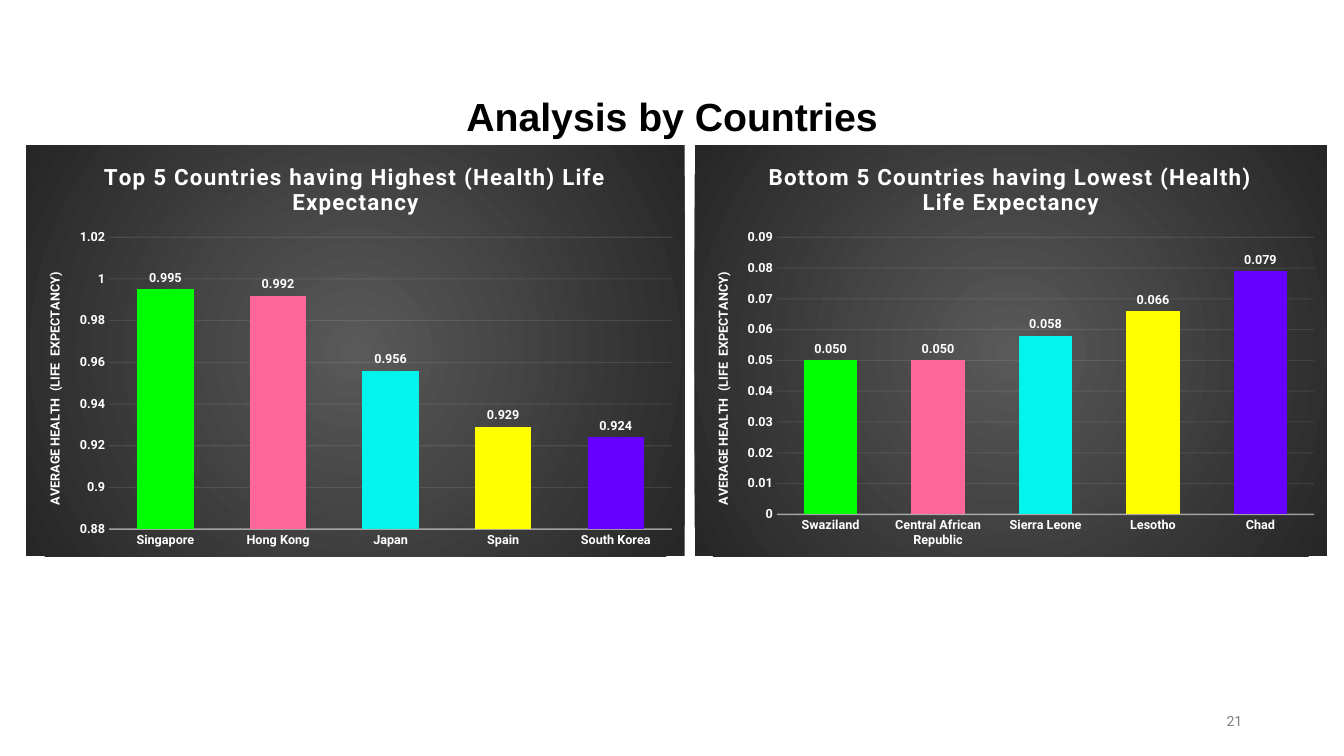
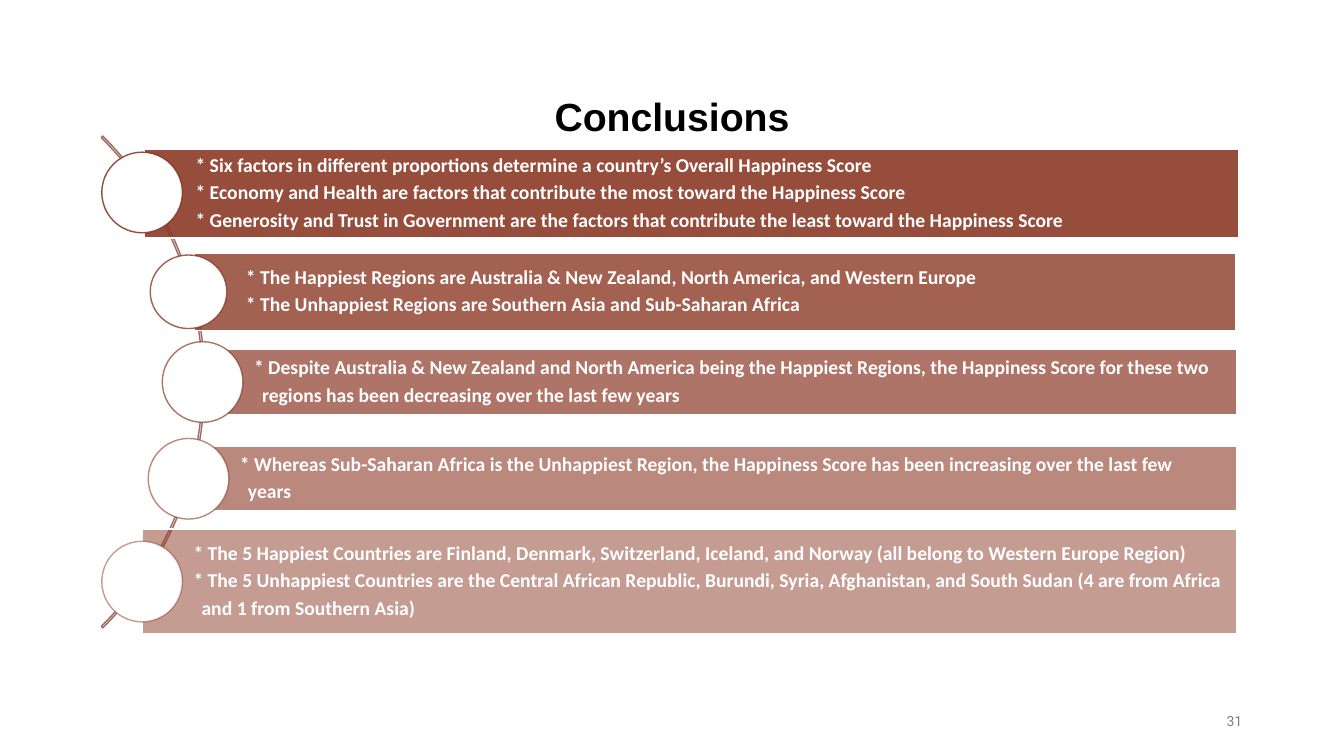
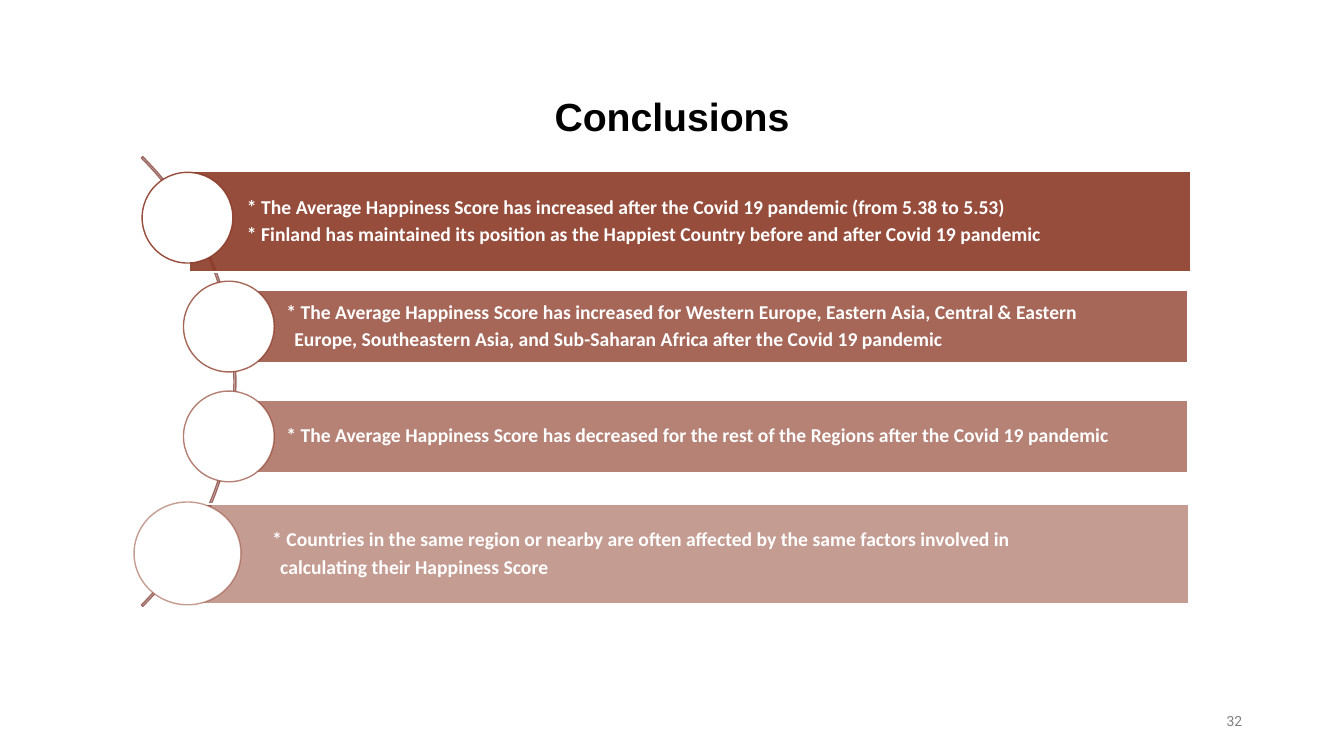
import dataclasses

import pptx
import pptx.chart.data
import pptx.dml.color
import pptx.enum.chart
import pptx.enum.shapes
import pptx.enum.text
import pptx.oxml
import pptx.oxml.ns
import pptx.util

Inches = pptx.util.Inches
Pt = pptx.util.Pt
qn = pptx.oxml.ns.qn


@dataclasses.dataclass(frozen=True)
class Theme:
    white: str = "FFFFFF"
    black: str = "000000"
    number: str = "808080"
    rust: str = "8C3A27"
    arc: str = "9D6962"
    grid: str = "F2F2F2"
    glow: str = "595959"
    shade: str = "262626"
    columns: tuple = ("00FF00", "FF6699", "03F3ED", "FFFF00", "6600FF")
    title_font: str = "Arial"
    body_font: str = "Calibri"
    chart_font: str = "Roboto"
    title_size: int = 28
    body_size: int = 14
    chart_title_size: int = 16
    chart_size: int = 9
    number_size: int = 10


THEME = Theme()

COUNTRIES = {
    "title": "Analysis by Countries",
    "number": "21",
    "axis_title": "AVERAGE HEALTH  (LIFE  EXPECTANCY)",
    "charts": [
        {
            "title": "Top 5 Countries having Highest (Health) Life Expectancy",
            "at": (0.26, 1.44, 6.53, 4.08),
            "plot": (0.126, 0.224, 0.855, 0.71),
            "scale": (0.88, 1.02, 0.02),
            "values": {"Singapore": 0.995, "Hong Kong": 0.992, "Japan": 0.956,
                       "Spain": 0.929, "South Korea": 0.924},
        },
        {
            "title": "Bottom 5 Countries having Lowest (Health) Life Expectancy",
            "at": (6.89, 1.44, 6.27, 4.08),
            "plot": (0.13, 0.224, 0.85, 0.674),
            "scale": (0, 0.09, 0.01),
            "values": {"Swaziland": 0.05, "Central African Republic": 0.05,
                       "Sierra Leone": 0.058, "Lesotho": 0.066, "Chad": 0.079},
        },
    ],
}

CONCLUSIONS = [
    {
        "title": "Conclusions",
        "number": "31",
        "arc": (-4.87, 0.34, 6.9, 6.9),
        "bars": [
            {"at": (1.43, 1.48, 10.86, 0.88), "disc": (1.01, 1.51, 0.8, 0.8), "inset": 0.51,
             "points": [
                 ["* Six factors in different proportions determine a country’s Overall Happiness Score"],
                 ["* Economy and Health are factors that contribute the most toward the Happiness Score"],
                 ["* Generosity and Trust in Government are the factors that contribute the least toward the Happiness Score"]]},
            {"at": (1.93, 2.51, 10.33, 0.77), "disc": (1.49, 2.53, 0.76, 0.73), "inset": 0.51,
             "points": [
                 ["* The Happiest Regions are Australia & New Zealand, North America, and Western Europe"],
                 ["* The Unhappiest Regions are Southern Asia and Sub-Saharan Africa"]]},
            {"at": (2.01, 3.47, 10.26, 0.64), "disc": (1.61, 3.39, 0.8, 0.8), "inset": 0.51,
             "points": [
                 ["* Despite Australia & New Zealand and North America being the Happiest Regions, the Happiness Score for these two",
                  "regions has been decreasing over the last few years"]]},
            {"at": (1.87, 4.43, 10.4, 0.64), "disc": (1.47, 4.35, 0.8, 0.8), "inset": 0.51,
             "points": [
                 ["* Whereas Sub-Saharan Africa is the Unhappiest Region, the Happiness Score has been increasing over the last few",
                  "years"]]},
            {"at": (1.41, 5.25, 10.86, 1.04), "disc": (1.01, 5.37, 0.8, 0.8), "inset": 0.51,
             "points": [
                 ["* The 5 Happiest Countries are Finland, Denmark, Switzerland, Iceland, and Norway (all belong to Western Europe Region)"],
                 ["* The 5 Unhappiest Countries are the Central African Republic, Burundi, Syria, Afghanistan, and South Sudan (4 are from Africa",
                  "and 1 from Southern Asia)"]]},
        ],
    },
    {
        "title": "Conclusions",
        "number": "32",
        "arc": (-3.97, 0.63, 6.31, 6.31),
        "bars": [
            {"at": (1.88, 1.7, 9.93, 1), "disc": (1.41, 1.71, 0.9, 0.9), "inset": 0.57,
             "points": [
                 ["* The Average Happiness Score has increased after the Covid 19 pandemic (from 5.38 to 5.53)"],
                 ["* Finland has maintained its position as the Happiest Country before and after Covid 19 pandemic"]]},
            {"at": (2.27, 2.88, 9.51, 0.72), "disc": (1.82, 2.79, 0.9, 0.9), "inset": 0.57,
             "points": [
                 ["* The Average Happiness Score has increased for Western Europe, Eastern Asia, Central & Eastern",
                  "Europe, Southeastern Asia, and Sub-Saharan Africa after the Covid 19 pandemic"]]},
            {"at": (2.27, 3.97, 9.51, 0.72), "disc": (1.82, 3.88, 0.9, 0.9), "inset": 0.57,
             "points": [
                 ["* The Average Happiness Score has decreased for the rest of the Regions after the Covid 19 pandemic"]]},
            {"at": (1.86, 5, 9.93, 0.99), "disc": (1.33, 4.98, 1.06, 1.02), "inset": 0.84,
             "points": [
                 ["* Countries in the same region or nearby are often affected by the same factors involved in",
                  "calculating their Happiness Score"]]},
        ],
    },
]


def rgb(color):
    return pptx.dml.color.RGBColor.from_string(color)


def inches(lengths):
    return [Inches(length) for length in lengths]


def style(font, name, size, color, bold=False):
    font.name = name
    font.size = Pt(size)
    font.bold = bold
    font.color.rgb = rgb(color)


def fade(parent, percent):
    color = next(parent.iter(qn("a:srgbClr")))
    alpha = color.makeelement(qn("a:alpha"), {"val": str(round(percent * 1000))})
    color.append(alpha)


def add_text(page, at, text, align, anchor, *font):
    box = page.shapes.add_textbox(*inches(at))
    frame = box.text_frame
    frame.word_wrap = True
    frame.vertical_anchor = anchor
    frame.text = text
    para = frame.paragraphs[0]
    para.alignment = align
    style(para.runs[0].font, *font)


def add_page(deck, content):
    page = deck.slides.add_slide(deck.slide_layouts[6])
    align = pptx.enum.text.PP_ALIGN
    anchor = pptx.enum.text.MSO_ANCHOR
    add_text(page, (9.42, 6.95, 3, 0.4), content["number"], align.RIGHT, anchor.MIDDLE,
             THEME.chart_font, THEME.number_size, THEME.number)
    add_text(page, (0.96, 0.87, 11.41, 0.57), content["title"], align.CENTER, anchor.TOP,
             THEME.title_font, THEME.title_size, THEME.black, True)
    return page


def add_outlined(page, kind, at, fill, line):
    shape = page.shapes.add_shape(kind, *inches(at))
    shape.shadow.inherit = False
    if fill:
        shape.fill.solid()
        shape.fill.fore_color.rgb = rgb(fill)
    else:
        shape.fill.background()
    shape.line.color.rgb = rgb(line)
    shape.line.width = Pt(1)
    return shape


def fill_bar(bar, inset, points):
    frame = bar.text_frame
    frame.word_wrap = True
    frame.vertical_anchor = pptx.enum.text.MSO_ANCHOR.MIDDLE
    frame.margin_left = Inches(inset)
    frame.margin_top = frame.margin_right = frame.margin_bottom = Inches(0.04)
    frame.text = "\n".join(line for point in points for line in point)
    continued = [index > 0 for point in points for index in range(len(point))]
    for para, indented in zip(frame.paragraphs, continued):
        para.alignment = pptx.enum.text.PP_ALIGN.LEFT
        para.line_spacing = 0.9
        para.space_after = Pt(4.6)
        if indented:
            para._p.get_or_add_pPr().set("marL", str(Inches(0.08)))
        style(para.runs[0].font, THEME.body_font, THEME.body_size, THEME.white, True)


def add_conclusions(deck, content):
    page = add_page(deck, content)
    kinds = pptx.enum.shapes.MSO_SHAPE
    arc = add_outlined(page, kinds.BLOCK_ARC, content["arc"], None, THEME.arc)
    for index, value in enumerate((189, 27, 0.003)):
        arc.adjustments[index] = value
    steps = len(content["bars"]) - 1
    for index, item in enumerate(content["bars"]):
        opacity = 90 - 40 * index / steps
        bar = add_outlined(page, kinds.RECTANGLE, item["at"], THEME.rust, THEME.white)
        fade(bar._element.spPr.find(qn("a:solidFill")), opacity)
        fill_bar(bar, item["inset"], item["points"])
        disc = add_outlined(page, kinds.OVAL, item["disc"], THEME.white, THEME.rust)
        fade(disc._element.spPr.find(qn("a:ln")), opacity)


def set_title(owner, text, size, spacing):
    frame = owner.text_frame
    frame.text = text
    run = frame.paragraphs[0].runs[0]
    style(run.font, THEME.chart_font, size, THEME.white, True)
    run.font._element.set("spc", str(spacing))


def paint_background(chart):
    space = chart._chartSpace
    stops = "".join(
        f'<a:gs pos="{position}"><a:srgbClr val="{color}"/></a:gs>'
        for position, color in ((0, THEME.glow), (100000, THEME.shade)))
    space.find(qn("c:chart")).addnext(pptx.oxml.parse_xml(
        f'<c:spPr {pptx.oxml.ns.nsdecls("c", "a")}><a:gradFill><a:gsLst>{stops}</a:gsLst>'
        '<a:path path="circle"><a:fillToRect l="50000" t="50000" r="50000" b="50000"/></a:path>'
        '</a:gradFill><a:ln><a:noFill/></a:ln></c:spPr>'))


def place_plot(chart, plot):
    area = chart._chartSpace.find(qn("c:chart")).find(qn("c:plotArea"))
    for layout in area.findall(qn("c:layout")):
        area.remove(layout)
    sides = "".join(f'<c:{key} val="{value}"/>' for key, value in zip("xywh", plot))
    area.insert(0, pptx.oxml.parse_xml(
        f'<c:layout {pptx.oxml.ns.nsdecls("c")}><c:manualLayout><c:layoutTarget val="inner"/>'
        f'<c:xMode val="edge"/><c:yMode val="edge"/>{sides}</c:manualLayout></c:layout>'))


def style_axes(chart, scale, title):
    category, value = chart.category_axis, chart.value_axis
    for axis in (category, value):
        axis.major_tick_mark = axis.minor_tick_mark = pptx.enum.chart.XL_TICK_MARK.NONE
        style(axis.tick_labels.font, THEME.chart_font, THEME.chart_size, THEME.white, True)
    category.format.line.color.rgb = rgb(THEME.grid)
    category.format.line.width = Pt(1)
    fade(category._element.find(qn("c:spPr")), 54)
    value.format.line.fill.background()
    value.minimum_scale, value.maximum_scale, value.major_unit = scale
    value.tick_labels.number_format = "General"
    value.tick_labels.number_format_is_linked = False
    value.has_major_gridlines = True
    grid = value.major_gridlines.format.line
    grid.color.rgb = rgb(THEME.grid)
    grid.width = Pt(0.75)
    fade(value._element.find(qn("c:majorGridlines")), 10)
    set_title(value.axis_title, title, THEME.chart_size, 0)


def style_columns(plot):
    plot.gap_width = 100
    plot.overlap = -24
    plot.vary_by_categories = False
    plot.has_data_labels = True
    labels = plot.data_labels
    labels.show_value = True
    labels.number_format = "#,##0.000"
    labels.number_format_is_linked = False
    labels.position = pptx.enum.chart.XL_LABEL_POSITION.OUTSIDE_END
    style(labels.font, THEME.chart_font, THEME.chart_size, THEME.white, True)
    for index, color in enumerate(THEME.columns):
        fill = plot.series[0].points[index].format.fill
        fill.solid()
        fill.fore_color.rgb = rgb(color)


def add_column_chart(page, content, axis_title):
    data = pptx.chart.data.CategoryChartData()
    data.categories = list(content["values"])
    data.add_series("Series 1", list(content["values"].values()))
    chart = page.shapes.add_chart(pptx.enum.chart.XL_CHART_TYPE.COLUMN_CLUSTERED,
                                  *inches(content["at"]), data).chart
    style(chart.font, THEME.chart_font, THEME.number_size, THEME.white, True)
    chart.has_legend = False
    chart.has_title = True
    set_title(chart.chart_title, content["title"], THEME.chart_title_size, 100)
    style_axes(chart, content["scale"], axis_title)
    style_columns(chart.plots[0])
    place_plot(chart, content["plot"])
    paint_background(chart)


def add_countries(deck, content):
    page = add_page(deck, content)
    for item in content["charts"]:
        add_column_chart(page, item, content["axis_title"])


def main():
    deck = pptx.Presentation()
    deck.slide_width, deck.slide_height = Inches(13.33), Inches(7.5)
    add_countries(deck, COUNTRIES)
    for content in CONCLUSIONS:
        add_conclusions(deck, content)
    deck.save("out.pptx")


if __name__ == "__main__":
    main()
